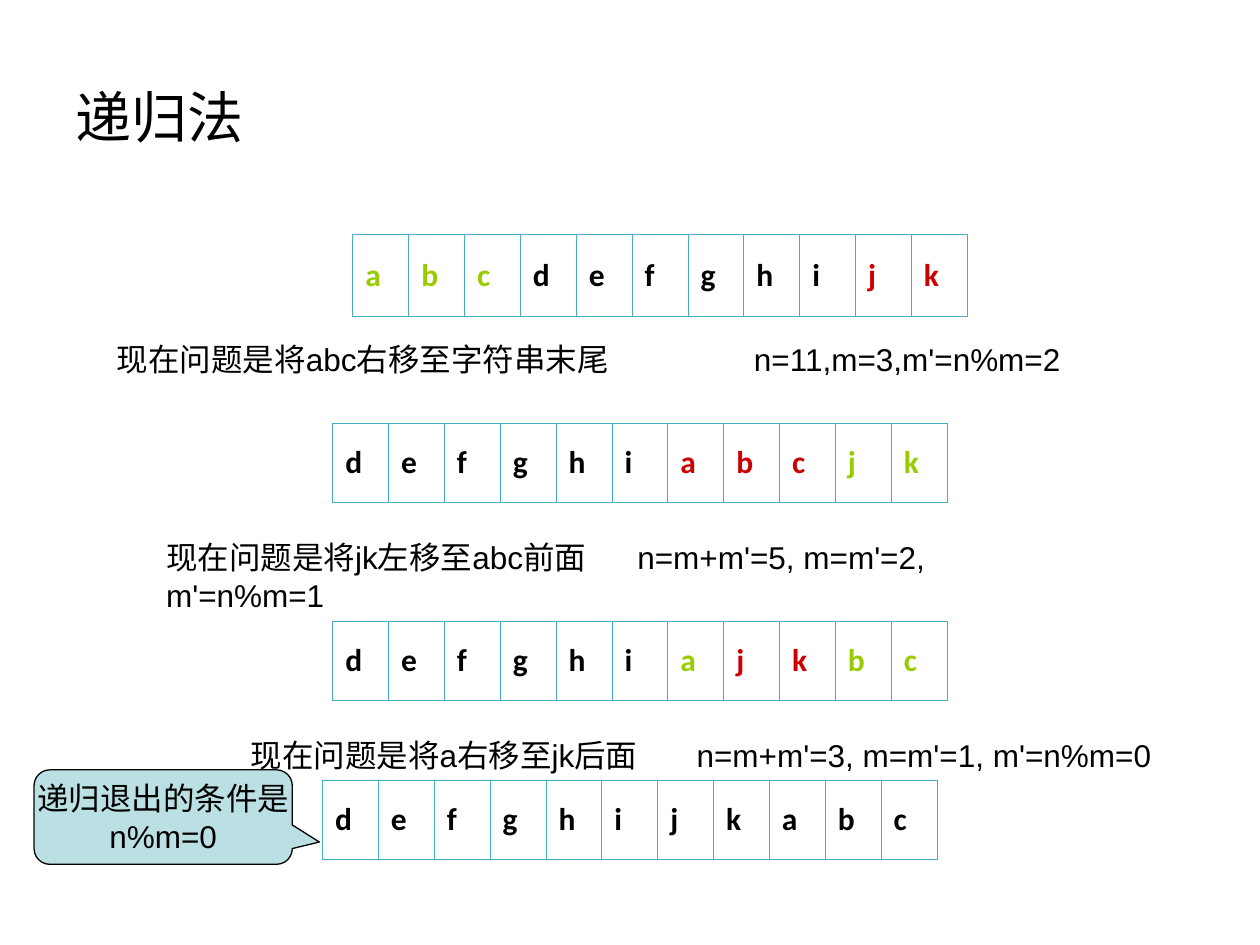
import pptx
import pptx.dml.color
import pptx.enum.shapes
import pptx.enum.text
import pptx.oxml
import pptx.oxml.ns
import pptx.util
from lxml import etree

W, H = 10, 7.5
COLORS = {"text": "000000", "first": "99CC00", "second": "CC0000",
          "border": "4BACC6", "callout": "BBE0E3"}
CELL = 4.88 / 11  # width of one letter cell
ANCHOR = pptx.enum.text.MSO_ANCHOR
ALIGN = pptx.enum.text.PP_ALIGN
inch = pptx.util.Inches


def rgb(name):
    return pptx.dml.color.RGBColor.from_string(COLORS[name])


def write(tf, text, size=18, font="Arial", color="text", bold=False,
          align=ALIGN.LEFT, before=0, tab=None):
    """Fill a text frame, one paragraph per line of text."""
    for i, line in enumerate(text.split("\n")):
        p = tf.add_paragraph() if i else tf.paragraphs[0]
        p.alignment = align
        p.space_before = pptx.util.Pt(before)
        if tab:
            tabs = etree.SubElement(p._p.get_or_add_pPr(), pptx.oxml.ns.qn("a:tabLst"))
            etree.SubElement(tabs, pptx.oxml.ns.qn("a:tab"), pos=str(inch(tab)), algn="l")
        r = p.add_run()
        r.text = line
        r.font.size = pptx.util.Pt(size)
        r.font.name = font
        r.font.bold = bold
        r.font.color.rgb = rgb(color)


def add_label(s, text, x, y, w, h, anchor=ANCHOR.TOP, **fmt):
    tf = s.shapes.add_textbox(inch(x), inch(y), inch(w), inch(h)).text_frame
    tf.word_wrap = True
    tf.vertical_anchor = anchor
    write(tf, text, **fmt)


def add_border(cell):
    tc_pr = cell._tc.get_or_add_tcPr()
    for side in ("lnL", "lnR", "lnT", "lnB"):
        ln = etree.SubElement(tc_pr, pptx.oxml.ns.qn(f"a:{side}"),
                              w=str(pptx.util.Pt(0.45)))
        fill = etree.SubElement(ln, pptx.oxml.ns.qn("a:solidFill"))
        etree.SubElement(fill, pptx.oxml.ns.qn("a:srgbClr"), val=COLORS["border"])


def add_letters(s, letters, x, y, h=0.63, first="", second=""):
    """One row of letters; the two blocks being swapped are coloured."""
    table = s.shapes.add_table(1, len(letters), inch(x), inch(y),
                               inch(CELL * len(letters)), inch(h)).table
    table.first_row = table.horz_banding = False
    for i, letter in enumerate(letters):
        table.columns[i].width = inch(CELL)
        cell = table.cell(0, i)
        add_border(cell)
        cell.fill.background()
        cell.vertical_anchor = ANCHOR.MIDDLE
        color = "first" if letter in first else "second" if letter in second else "text"
        write(cell.text_frame, letter, font="Calibri", color=color, bold=True, before=4.5)


def add_callout(s, text, x, y, w, h):
    sp = s.shapes.add_shape(pptx.enum.shapes.MSO_SHAPE.ROUNDED_RECTANGULAR_CALLOUT,
                            inch(x), inch(y), inch(w), inch(h))
    for i, value in enumerate((0.605, 0.264, 0.167)):
        sp.adjustments[i] = value
    sp.shadow.inherit = False
    sp.fill.solid()
    sp.fill.fore_color.rgb = rgb("callout")
    sp.line.color.rgb = rgb("text")
    sp.line.width = pptx.util.Pt(0.75)
    sp.text_frame.word_wrap = False
    sp.text_frame.vertical_anchor = ANCHOR.MIDDLE
    write(sp.text_frame, text, align=ALIGN.CENTER)


def main():
    prs = pptx.Presentation()
    prs.slide_width, prs.slide_height = inch(W), inch(H)
    s = prs.slides.add_slide(prs.slide_layouts[6])

    # Title
    add_label(s, "递归法", 0.05 * W, 0.04 * H, 0.9 * W, 1.25,
              anchor=ANCHOR.MIDDLE, size=32)

    # Start: abc and jk are to be swapped
    add_letters(s, "abcdefghijk", 2.8, 1.86, h=0.65, first="abc", second="jk")
    add_label(s, "现在问题是将abc右移至字符串末尾\t n=11,m=3,m'=n%m=2",
              0.83, 2.65, 8.43, 0.4, tab=5)

    # Second step
    add_letters(s, "defghiabcjk", 2.64, 3.36, first="jk", second="abc")
    add_label(s, "现在问题是将jk左移至abc前面\tn=m+m'=5, m=m'=2, m'=n%m=1",
              1.22, 4.22, 7.4, 0.7, tab=3.74)

    # Third step
    add_letters(s, "defghiajkbc", 2.64, 4.93, first="abc", second="jk")
    add_label(s, "现在问题是将a右移至jk后面\tn=m+m'=3, m=m'=1, m'=n%m=0",
              1.89, 5.79, 7.5, 0.4, tab=3.54)

    # Result and exit condition
    add_letters(s, "defghijkabc", 2.56, 6.19)
    add_callout(s, "递归退出的条件是\nn%m=0", 0.27, 6.11, 2.05, 0.75)

    prs.save("out.pptx")


if __name__ == "__main__":
    main()
